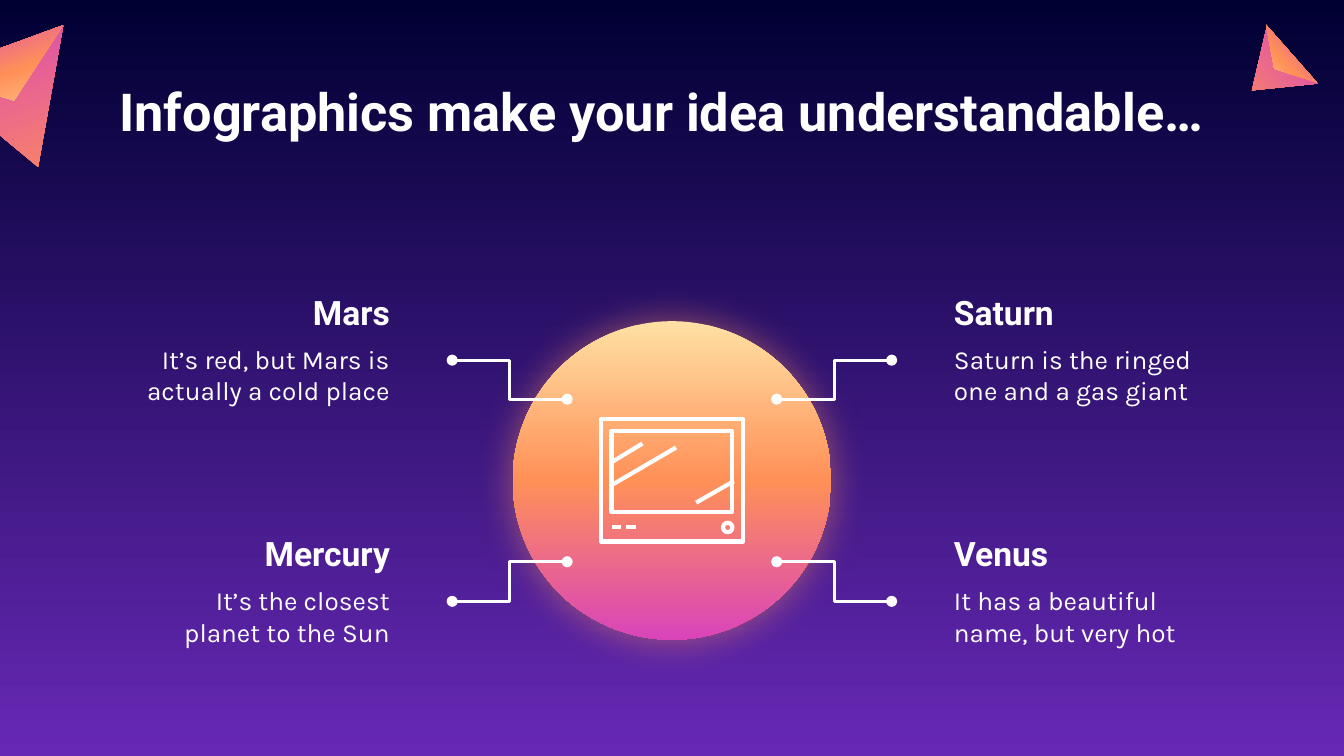
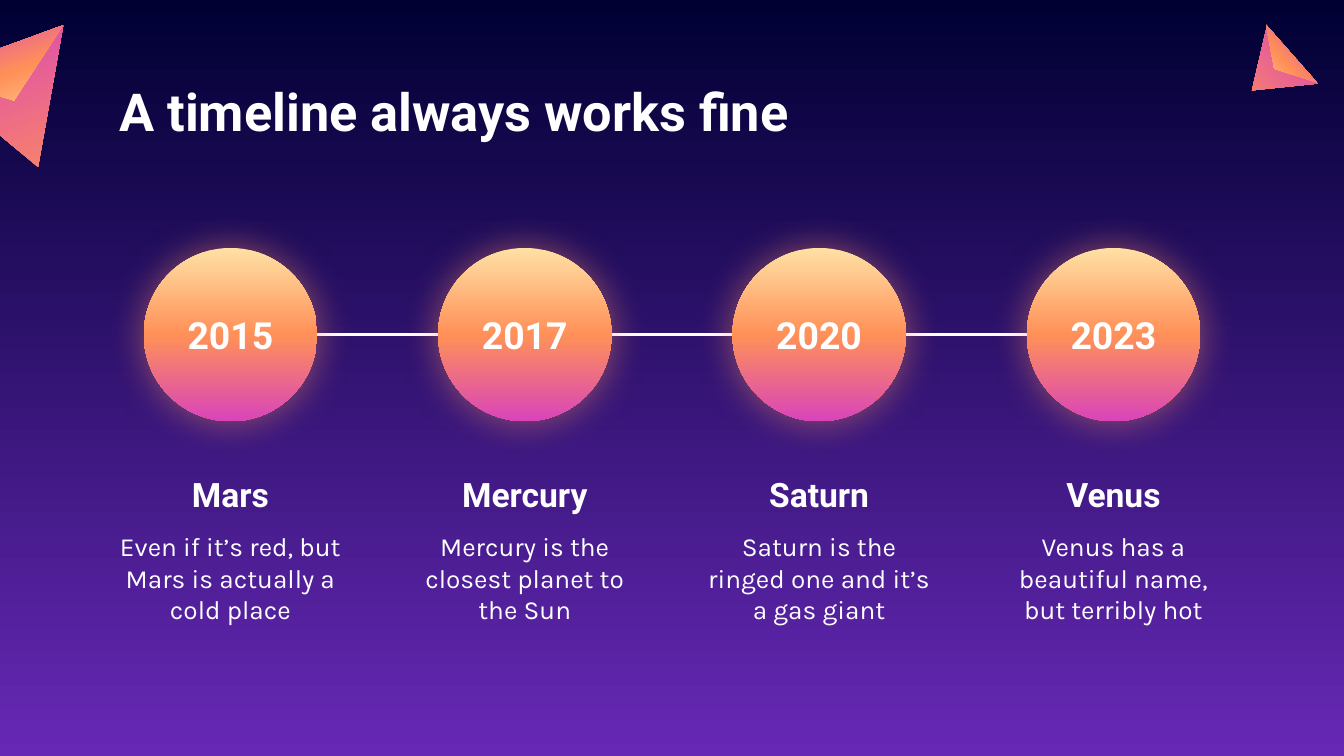
from pptx import Presentation
from pptx.dml.color import RGBColor
from pptx.enum.shapes import MSO_CONNECTOR as Link, MSO_SHAPE as Kind
from pptx.enum.text import MSO_ANCHOR as Anchor, PP_ALIGN as Align
from pptx.oxml.ns import qn
from pptx.util import Inches, Pt
from lxml.etree import SubElement

# Content
HUB_TITLE = "Infographics make your idea understandable…"
HUB = [  # rows of (left, right)
    [("Mars", "It’s red, but Mars is actually a cold place"),
     ("Saturn", "Saturn is the ringed one and a gas giant")],
    [("Mercury", "It’s the closest planet to the Sun"),
     ("Venus", "It has a beautiful name, but very hot")],
]
TIME_TITLE = "A timeline always works fine"
TIMES = [
    ("2015", "Mars", "Even if it’s red, but Mars is actually a cold place"),
    ("2017", "Mercury", "Mercury is the closest planet to the Sun"),
    ("2020", "Saturn", "Saturn is the ringed one and it’s a gas giant"),
    ("2023", "Venus", "Venus has a beautiful name, but terribly hot"),
]

# Shared style
WIDE, HIGH = 10, 5.625
MID = WIDE / 2
HEAD, BODY = "Roboto", "Karla"
WHITE = RGBColor(0xFF, 0xFF, 0xFF)
NIGHT = RGBColor(0x00, 0x00, 0x33)
VIOLET = RGBColor(0x67, 0x28, 0xB5)
CREAM = RGBColor(0xFF, 0xE0, 0xA4)
ORANGE = RGBColor(0xFF, 0x91, 0x58)
PINK = RGBColor(0xD9, 0x44, 0xBA)
SKY, EDGE, GLOW = (NIGHT, VIOLET), (ORANGE, PINK), (CREAM, ORANGE, PINK)
GEMS = [  # turn, then (box, colours) for each face
    (159.9, [((-0.41, 0.35, 1.07, 0.92), EDGE),
             ((-0.5, 0.36, 1.07, 0.4), GLOW)]),
    (228.6, [((9.18, 0.34, 0.57, 0.4), EDGE),
             ((9.26, 0.37, 0.57, 0.17), GLOW)]),
]


def inch(nums):
    return [Inches(n) for n in nums]


def blend(fill, root, tones):
    """Fill from top to bottom with evenly spaced colours."""
    fill.gradient()
    fill.gradient_angle = 270
    stops = root.find(".//" + qn("a:gsLst"))
    for old in list(stops):
        stops.remove(old)
    for i, tone in enumerate(tones):
        stop = SubElement(stops, qn("a:gs"),
                          pos=str(100000 * i // (len(tones) - 1)))
        SubElement(stop, qn("a:srgbClr"), val=str(tone))


def solid(parts, kind, box, tones):
    item = parts.add_shape(kind, *inch(box))
    item.shadow.inherit = False
    item.line.fill.background()
    blend(item.fill, item.element, tones)
    return item


def ring(parts, kind, box):
    item = parts.add_shape(kind, *inch(box))
    item.shadow.inherit = False
    item.fill.background()
    item.line.color.rgb = WHITE
    item.line.width = Pt(2.25)


def planet(parts, x, y, size):
    """Glowing disc centred on x, y."""
    disc = solid(parts, Kind.OVAL, (x - size / 2, y - size / 2, size, size),
                 GLOW)
    fx = disc.element.spPr.find(qn("a:effectLst"))
    halo = SubElement(fx, qn("a:outerShdw"), blurRad=str(Pt(20.2)),
                      dist="0", dir="0", algn="ctr", rotWithShape="0")
    tone = SubElement(halo, qn("a:srgbClr"), val=str(ORANGE))
    SubElement(tone, qn("a:alpha"), val="50000")


def wire(parts, start, end, width=1.5, kind=Link.STRAIGHT, dots=False):
    item = parts.add_connector(kind, *inch(start + end))
    item.line.color.rgb = WHITE
    item.line.width = Pt(width)
    if dots:
        ln = item.line._get_or_add_ln()
        for tag in ("a:headEnd", "a:tailEnd"):
            SubElement(ln, qn(tag), type="oval", w="med", len="med")
    SubElement(item.element.spPr, qn("a:effectLst"))


def label(parts, box, text, size, align, font=HEAD, anchor=Anchor.TOP):
    frame = parts.add_textbox(*inch(box)).text_frame
    frame.word_wrap = True
    frame.vertical_anchor = anchor
    frame.margin_left = frame.margin_right = Inches(0.1)
    frame.margin_top = frame.margin_bottom = Inches(0.1)
    para = frame.paragraphs[0]
    para.alignment = align
    run = para.add_run()
    run.text = text
    run.font.name = font
    run.font.size = Pt(size)
    run.font.bold = font == HEAD
    run.font.color.rgb = WHITE


def entry(parts, x, y, wide, drop, tall, name, note, align):
    """Heading with its note below."""
    label(parts, (x, y, wide, 0.44), name, 18, align)
    label(parts, (x, y + drop, wide, tall), note, 14, align, BODY)


def start(deck, title):
    """New slide with sky, gems and title."""
    slide = deck.slides.add_slide(deck.slide_layouts[6])
    blend(slide.background.fill, slide.element, SKY)
    for turn, faces in GEMS:
        gem = slide.shapes.add_group_shape().shapes
        for box, tones in faces:
            solid(gem, Kind.ISOSCELES_TRIANGLE, box, tones).rotation = turn
    label(slide.shapes, (0.79, 0.49, 8.42, 0.63), title, 28, Align.LEFT)
    return slide.shapes


def screen(parts):
    """Television icon."""
    icon = parts.add_group_shape().shapes
    ring(icon, Kind.RECTANGLE, (4.47, 3.12, 1.06, 0.91))
    ring(icon, Kind.RECTANGLE, (4.55, 3.21, 0.9, 0.6))
    ring(icon, Kind.OVAL, (5.38, 3.89, 0.07, 0.07))
    for a, b in [((4.55, 3.92), (4.62, 3.92)), ((4.66, 3.92), (4.73, 3.92)),
                 ((4.55, 3.44), (4.78, 3.3)), ((4.55, 3.61), (5.03, 3.33)),
                 ((5.46, 3.58), (5.18, 3.74))]:
        wire(icon, a, b, 2.25)


def hub(deck):
    parts = start(deck, HUB_TITLE)
    core, wide, gap = 3.575, 2.07, 2.0
    planet(parts, MID, core, 2.37)
    links = parts.add_group_shape().shapes
    for row, pair in enumerate(HUB):
        top = 2.07 + 1.795 * row
        bend = core + (-0.605, 0.605)[row]
        for side, (name, note) in zip((-1, 1), pair):
            x = MID + gap if side > 0 else MID - gap - wide
            align = Align.LEFT if side > 0 else Align.RIGHT
            entry(parts, x, top, wide, 0.385, 0.77, name, note, align)
            wire(links, (MID + side * 1.635, top + 0.61),
                 (MID + side * 0.78, bend), kind=Link.ELBOW, dots=True)
    screen(parts)


def timeline(deck):
    parts = start(deck, TIME_TITLE)
    axis, step, wide = 2.49, 2.19, 1.86
    wire(parts, (1.75, axis), (8.25, axis))
    for i, (year, name, note) in enumerate(TIMES):
        x = MID + (i - 1.5) * step
        planet(parts, x, axis, 1.29)
        label(parts, (x - 0.565, axis - 0.22, 1.13, 0.44), year, 20,
              Align.CENTER, anchor=Anchor.MIDDLE)
        entry(parts, x - wide / 2, 3.43, wide, 0.42, 1.03, name, note,
              Align.CENTER)


def main():
    deck = Presentation()
    deck.slide_width, deck.slide_height = inch((WIDE, HIGH))
    hub(deck)
    timeline(deck)
    deck.save("out.pptx")


if __name__ == "__main__":
    main()
